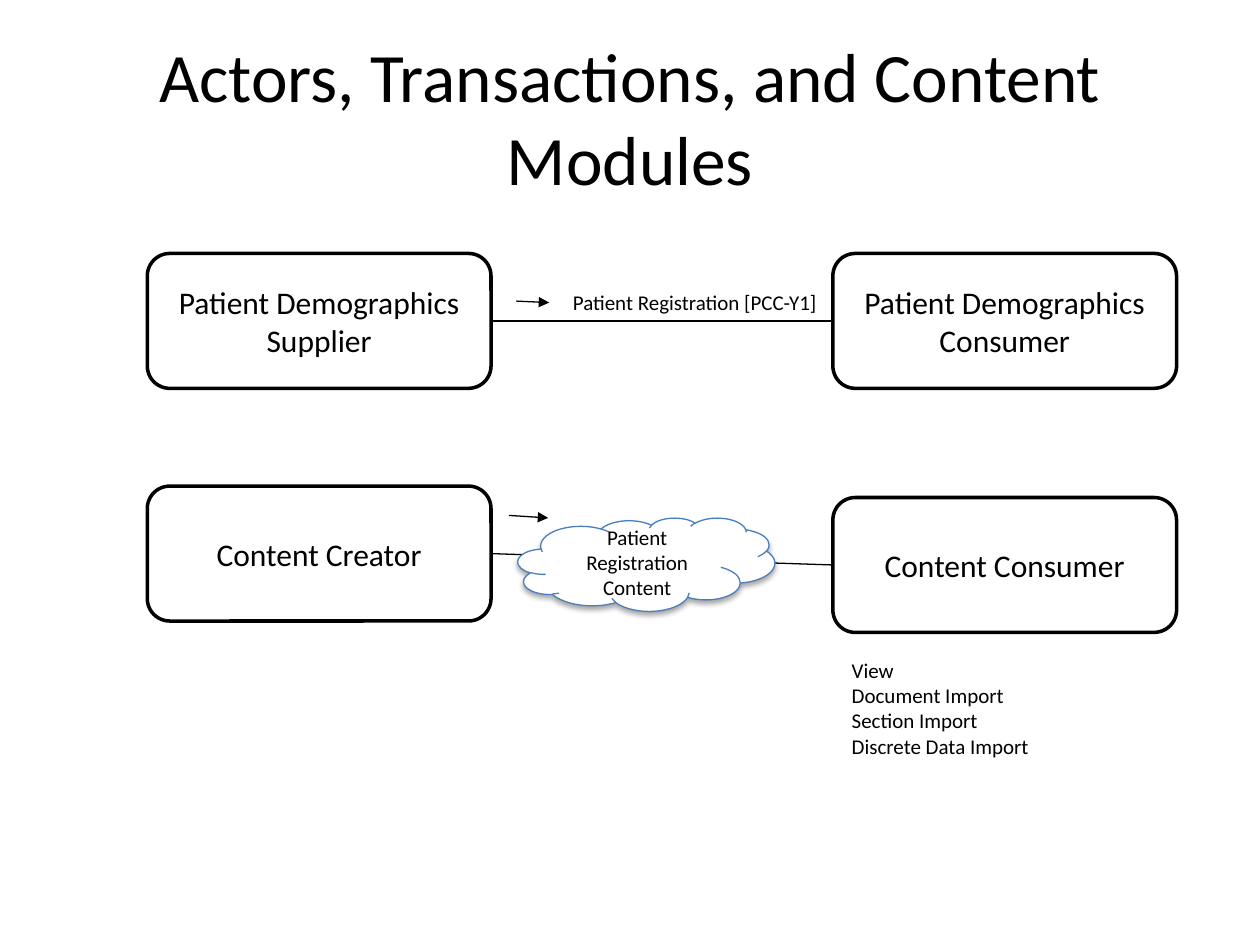
"""Build the slide on actors, transactions and content modules."""
from dataclasses import dataclass

from lxml import etree
from pptx import Presentation
from pptx.dml.color import RGBColor
from pptx.enum.shapes import MSO_CONNECTOR, MSO_SHAPE
from pptx.enum.text import MSO_ANCHOR, MSO_AUTO_SIZE, PP_ALIGN
from pptx.oxml import parse_xml
from pptx.oxml.ns import nsdecls, qn
from pptx.shapes.autoshape import Shape
from pptx.slide import Slide
from pptx.util import Cm, Pt

ROUND = MSO_SHAPE.ROUNDED_RECTANGLE
CLOUD = MSO_SHAPE.CLOUD
STRAIGHT = MSO_CONNECTOR.STRAIGHT
MIDDLE = MSO_ANCHOR.MIDDLE
TOP = MSO_ANCHOR.TOP
GROW = MSO_AUTO_SIZE.SHAPE_TO_FIT_TEXT
CENTER = PP_ALIGN.CENTER
LEFT = PP_ALIGN.LEFT

BLACK = RGBColor(0x00, 0x00, 0x00)
WHITE = RGBColor(0xFF, 0xFF, 0xFF)
BLUE = RGBColor(0x4B, 0x7E, 0xBC)
FONT = "Calibri"

BOX_W, BOX_H = 6.93, 2.72
LEFT_X, RIGHT_X = 2.97, 16.79
LINK_X = LEFT_X + BOX_W
TOP_Y, MAKER_Y, USER_Y = 5.11, 9.8, 10.03
HALF = BOX_H / 2


@dataclass
class Node:
    text: str
    x: float
    y: float
    w: float = BOX_W
    h: float = BOX_H
    kind: MSO_SHAPE = ROUND
    size: float = 18
    color: RGBColor = BLACK
    weight: float = 2


@dataclass
class Label:
    text: str
    x: float
    y: float
    w: float
    h: float
    size: float = 12
    title: bool = False


@dataclass
class Link:
    x1: float
    y1: float
    x2: float
    y2: float
    arrow: bool = False


ACTORS = [
    Node("Patient Demographics Supplier", LEFT_X, TOP_Y),
    Node("Patient Demographics Consumer", RIGHT_X, TOP_Y),
    Node("Content Creator", LEFT_X, MAKER_Y),
    Node("Content Consumer", RIGHT_X, USER_Y),
]
CONTENT = Node("Patient Registration Content", 10.44, 10.44, 5.18, 1.88,
               CLOUD, 12, BLUE, 0.75)
LINKS = [
    Link(LINK_X, TOP_Y + HALF, RIGHT_X, TOP_Y + HALF),
    Link(LINK_X, MAKER_Y + HALF, RIGHT_X, USER_Y + HALF),
    Link(10.41, 6.07, 11.07, 6.1, True),
    Link(10.26, 10.39, 11.05, 10.44, True),
]
LABELS = [
    Label("Actors, Transactions, and Content Modules",
          1.27, 0.76, 22.86, 3.18, 39.6, True),
    Label("Patient Registration [PCC-Y1]", 11.3, 5.72, 5.49, 0.76),
    Label("View\nDocument Import\nSection Import\nDiscrete Data Import",
          16.92, 13.13, 4.11, 2.31),
]


def set_text(shape: Shape, text: str, size: float,
             align: PP_ALIGN, anchor: MSO_ANCHOR) -> None:
    frame = shape.text_frame
    frame.text = text
    frame.word_wrap = True
    frame.vertical_anchor = anchor
    for para in frame.paragraphs:
        para.alignment = align
        for run in para.runs:
            run.font.name = FONT
            run.font.size = Pt(size)
            run.font.color.rgb = BLACK


def add_node(slide: Slide, node: Node) -> Shape:
    shape = slide.shapes.add_shape(
        node.kind, Cm(node.x), Cm(node.y), Cm(node.w), Cm(node.h))
    shape.shadow.inherit = False
    shape.fill.solid()
    shape.fill.fore_color.rgb = WHITE
    shape.line.color.rgb = node.color
    shape.line.width = Pt(node.weight)
    set_text(shape, node.text, node.size, CENTER, MIDDLE)
    return shape


def add_shade(shape: Shape) -> None:
    effects = shape._element.spPr.find(qn("a:effectLst"))
    effects.append(parse_xml(
        f'<a:outerShdw {nsdecls("a")} blurRad="{Pt(3.1)}" dist="{Pt(1.8)}" '
        'dir="5400000" rotWithShape="0"><a:srgbClr val="000000">'
        '<a:alpha val="35000"/></a:srgbClr></a:outerShdw>'))


def add_label(slide: Slide, label: Label) -> None:
    box = slide.shapes.add_textbox(
        Cm(label.x), Cm(label.y), Cm(label.w), Cm(label.h))
    if label.title:
        set_text(box, label.text, label.size, CENTER, MIDDLE)
    else:
        set_text(box, label.text, label.size, LEFT, TOP)
        box.text_frame.word_wrap = False
        box.text_frame.auto_size = GROW


def add_link(slide: Slide, link: Link) -> None:
    line = slide.shapes.add_connector(
        STRAIGHT, Cm(link.x1), Cm(link.y1), Cm(link.x2), Cm(link.y2))
    line.line.color.rgb = BLACK
    line.line.width = Pt(0.75)
    props = line._element.spPr
    if link.arrow:
        etree.SubElement(props.find(qn("a:ln")), qn("a:tailEnd"), type="triangle")
    etree.SubElement(props, qn("a:effectLst"))


def main() -> None:
    deck = Presentation()
    deck.slide_width, deck.slide_height = Cm(25.4), Cm(19.05)
    slide = deck.slides.add_slide(deck.slide_layouts[6])
    for actor in ACTORS:
        add_node(slide, actor)
    for link in LINKS:
        add_link(slide, link)
    add_shade(add_node(slide, CONTENT))
    for label in LABELS:
        add_label(slide, label)
    deck.save("out.pptx")


if __name__ == "__main__":
    main()
